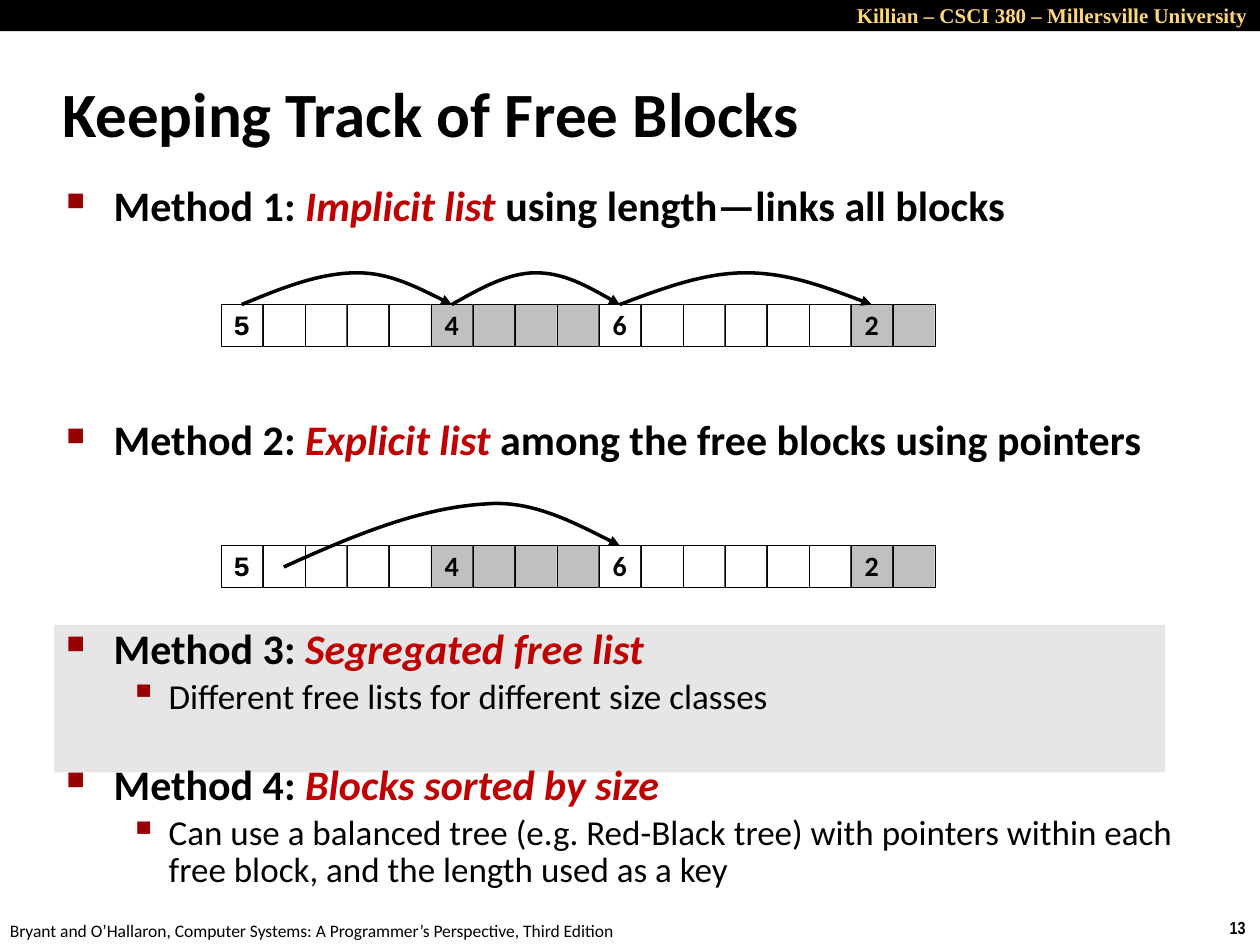
"""Build the slide that compares four ways of keeping track of free blocks."""
from dataclasses import dataclass

from lxml.etree import SubElement
from pptx import Presentation
from pptx.dml.color import RGBColor
from pptx.enum.shapes import MSO_SHAPE as Preset
from pptx.enum.text import MSO_ANCHOR as Anchor, PP_ALIGN as Align
from pptx.oxml.ns import qn
from pptx.util import Cm, Pt

COLORS = {
    "ink": "000000", "paper": "FFFFFF", "header": "FFD579", "panel": "E6E6E6",
    "allocated": "C0C0C0", "term": "C00000", "bullet": "990000",
}
CELL = 2.54 / 3
ROW_LEFT = 4.45


@dataclass(frozen=True)
class Block:
    size: int
    fill: str
    font: str = "Calibri"
    spacing: float = 0.98


@dataclass(frozen=True)
class Arc:
    first: int
    last: int
    apex: float
    heights: tuple


@dataclass(frozen=True)
class Diagram:
    top: float
    arcs: tuple


@dataclass(frozen=True)
class Point:
    lead: str
    term: str = ""
    rest: str = ""
    level: int = 0
    before: float = 4.2
    spacing: float = 1.0


@dataclass(frozen=True)
class Level:
    size: int
    margin: float
    hanging: float
    mark: str
    scale: int


BLOCKS = (
    Block(5, "paper", "Courier New", 0.94), Block(4, "allocated"),
    Block(6, "paper"), Block(2, "allocated"),
)
HOP = (0, 0.32, 0.64, 0.64, 0.64, 0.32, 0)
DIAGRAMS = (
    Diagram(6.14, (Arc(0, 5, 0.55, HOP), Arc(5, 9, 0.5, HOP), Arc(9, 15, 0.5, HOP))),
    Diagram(11, (Arc(1, 9, 0.6, (-0.43, 0.18, 0.76, 0.84, 0.92, 0.46, 0)),)),
)
LEVELS = (Level(24, 0.95, 0.95, "■", 60), Level(20, 2.06, 0.79, "▪", 110))
POINTS = (
    Point("Method 1: ", "Implicit list ", "using length—links all blocks", before=0),
    Point("Method 2: ", "Explicit list ", "among the free blocks using pointers",
          before=105),
    Point("Method 3: ", "Segregated free list", before=95, spacing=0.83),
    Point("Different free lists for different size classes", level=1, spacing=0.88),
    Point("Method 4: ", "Blocks sorted by size", before=28.8, spacing=0.83),
    Point("Can use a balanced tree (e.g. Red-Black tree) with pointers within each "
          "free block, and the length used as a key", level=1, spacing=0.88),
)


def rgb(name: str) -> RGBColor:
    return RGBColor.from_string(COLORS[name])


def write(para, text: str, *, size: float, font: str = "Calibri", color: str = "ink",
          bold: bool = False, italic: bool = False) -> None:
    span = para.add_run()
    span.text = text
    span.font.name, span.font.size = font, Pt(size)
    span.font.bold, span.font.italic = bold, italic
    span.font.color.rgb = rgb(color)


def add_box(page, left: float, top: float, width: float, height: float,
            wrap: bool = False):
    box = page.shapes.add_textbox(Cm(left), Cm(top), Cm(width), Cm(height))
    box.text_frame.word_wrap = wrap
    return box


def add_rect(page, left: float, top: float, width: float, height: float,
             fill: str, line: float = 0):
    rect = page.shapes.add_shape(
        Preset.RECTANGLE, Cm(left), Cm(top), Cm(width), Cm(height))
    rect.shadow.inherit = False
    rect.fill.solid()
    rect.fill.fore_color.rgb = rgb(fill)
    if line:
        rect.line.color.rgb = rgb("ink")
        rect.line.width = Pt(line)
    else:
        rect.line.fill.background()
    return rect


def add_blocks(page, top: float) -> None:
    index = 0
    for block in BLOCKS:
        for offset in range(block.size):
            cell = add_rect(page, ROW_LEFT + index * CELL, top, CELL, CELL,
                            block.fill, 0.25)
            index += 1
            if offset == 0:
                frame = cell.text_frame
                frame.word_wrap, frame.vertical_anchor = False, Anchor.MIDDLE
                para = frame.paragraphs[0]
                para.alignment, para.line_spacing = Align.CENTER, block.spacing
                write(para, str(block.size), size=16, font=block.font, bold=True)


def add_arc(page, arc: Arc, top: float) -> None:
    start = ROW_LEFT + (arc.first + 0.5) * CELL
    span = (arc.last - arc.first) * CELL
    steps = [arc.apex * i / 3 for i in range(4)]
    steps += [arc.apex + (1 - arc.apex) * i / 3 for i in range(1, 4)]
    knots = [(Cm(start + span * step), Cm(top - height))
             for step, height in zip(steps, arc.heights)]
    builder = page.shapes.build_freeform(*knots[0])
    builder.add_line_segments(knots[1:], close=False)
    curve = builder.convert_to_shape()
    lines = curve._element.xpath(".//a:lnTo")
    outline = lines[0].getparent()
    for group in (lines[:3], lines[3:]):
        bezier = SubElement(outline, qn("a:cubicBezTo"))
        for line in group:
            bezier.append(line[0])
            outline.remove(line)
    curve.shadow.inherit = False
    curve.fill.background()
    curve.line.color.rgb = rgb("ink")
    curve.line.width = Pt(2)
    SubElement(curve.line._get_or_add_ln(), qn("a:tailEnd"), type="triangle")


def add_point(para, point: Point) -> None:
    level = LEVELS[point.level]
    para.level = point.level
    para.space_before, para.line_spacing = Pt(point.before), point.spacing
    props = para._p.get_or_add_pPr()
    props.set("marL", str(Cm(level.margin)))
    props.set("indent", str(-Cm(level.hanging)))
    tint = SubElement(props, qn("a:buClr"))
    SubElement(tint, qn("a:srgbClr"), val=COLORS["bullet"])
    SubElement(props, qn("a:buSzPct"), val=str(level.scale * 1000))
    SubElement(props, qn("a:buChar"), char=level.mark)
    bold = point.level == 0
    write(para, point.lead, size=level.size, bold=bold)
    if point.term:
        write(para, point.term, size=level.size, color="term", bold=bold, italic=True)
    if point.rest:
        write(para, point.rest, size=level.size, bold=bold)


def main() -> None:
    deck = Presentation()
    deck.slide_width, deck.slide_height = Cm(25.4), Cm(19.05)
    page = deck.slides.add_slide(deck.slide_layouts[5])

    title = page.shapes.title
    title.left, title.top, title.width, title.height = Cm(1), Cm(1.22), Cm(21.08), Cm(2.1)
    title.text_frame.vertical_anchor = Anchor.MIDDLE
    heading = title.text_frame.paragraphs[0]
    heading.alignment = Align.LEFT
    write(heading, "Keeping Track of Free Blocks", size=36, bold=True)

    add_rect(page, 0, 0, 25.4, 0.63, "ink")
    course = add_box(page, 13.97, -0.07, 11.43, 0.76, wrap=True).text_frame.paragraphs[0]
    course.alignment = Align.RIGHT
    write(course, "Killian – CSCI 380 – Millersville University", size=12,
          font="Times New Roman", color="header", bold=True)
    number = add_box(page, 24.54, 18.36, 0.86, 0.69).text_frame.paragraphs[0]
    write(number, "13", size=10, font="Arial Narrow", bold=True)
    credit = add_box(page, -0.05, 18.42, 12.9, 0.69).text_frame.paragraphs[0]
    write(credit, "Bryant and O’Hallaron, Computer Systems: "
          "A Programmer’s Perspective, Third Edition", size=10)

    add_rect(page, 1.09, 12.6, 22.4, 2.97, "panel")
    body = add_box(page, 1.09, 3.5, 23.04, 14.92, wrap=True).text_frame
    for index, point in enumerate(POINTS):
        add_point(body.add_paragraph() if index else body.paragraphs[0], point)

    for diagram in DIAGRAMS:
        add_blocks(page, diagram.top)
        for arc in diagram.arcs:
            add_arc(page, arc, diagram.top)
    deck.save("out.pptx")


if __name__ == "__main__":
    main()
